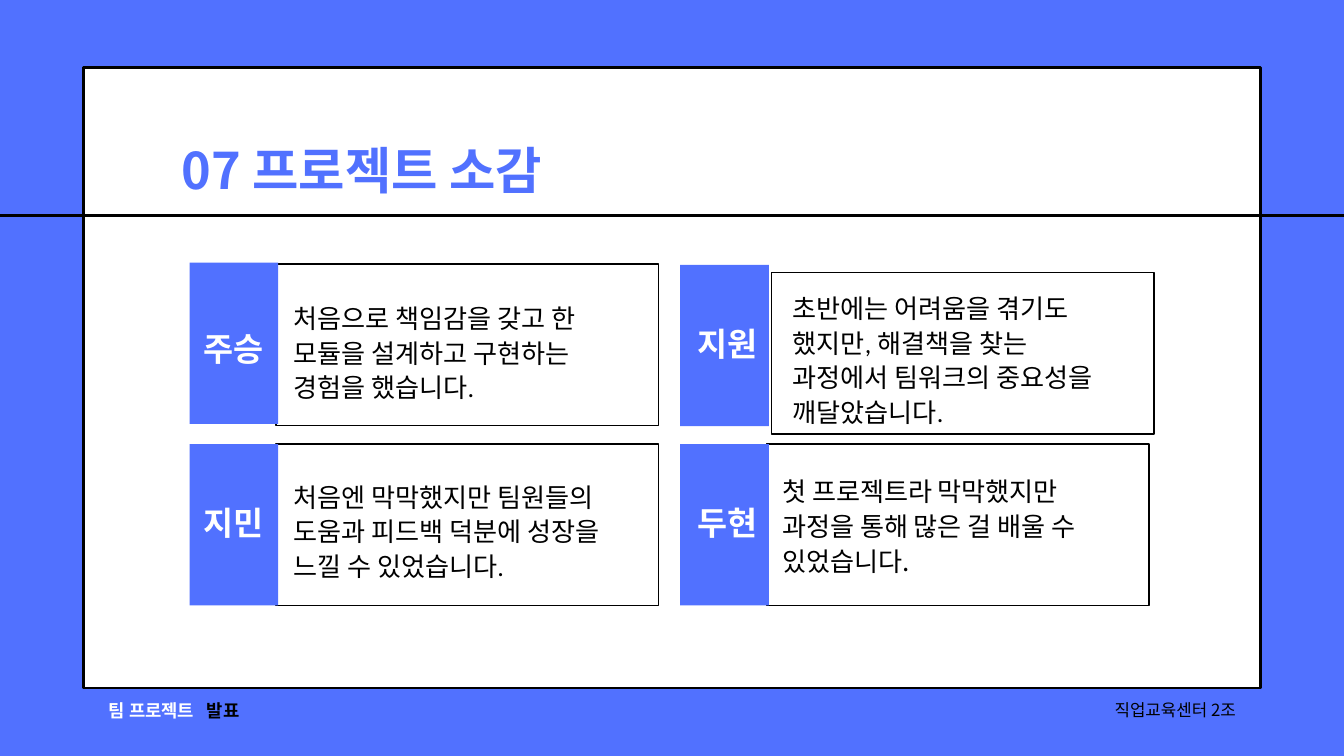
from pptx import Presentation
from pptx.dml.color import RGBColor
from pptx.enum.shapes import MSO_CONNECTOR, MSO_SHAPE
from pptx.enum.text import MSO_AUTO_SIZE, PP_ALIGN
from pptx.oxml.ns import qn
from pptx.util import Inches, Pt
from lxml import etree

BLUE, WHITE, BLACK = "5171FF", "FFFFFF", "000000"
SANS = "Noto Sans CJK KR"


def color(value):
    return RGBColor.from_string(value)


def add_text(text, left, top, width, height, size, spacing, fill=BLACK,
             bold=False, align=PP_ALIGN.LEFT, font=SANS):
    box = slide.shapes.add_textbox(Inches(left), Inches(top), Inches(width), Inches(height))
    frame = box.text_frame
    frame.word_wrap = True
    frame.auto_size = MSO_AUTO_SIZE.SHAPE_TO_FIT_TEXT
    frame.margin_left = frame.margin_right = frame.margin_top = frame.margin_bottom = 0
    para = frame.paragraphs[0]
    para.alignment = align
    para.line_spacing = Pt(spacing)
    span = para.add_run()
    span.text = text
    span.font.name = font
    span.font.size = Pt(size)
    span.font.bold = bold
    span.font.color.rgb = color(fill)
    etree.SubElement(span.font._element, qn("a:ea"), typeface=SANS)


def add_panel(left, top, width, height, fill=None, line=None):
    panel = slide.shapes.add_shape(
        MSO_SHAPE.RECTANGLE, Inches(left), Inches(top), Inches(width), Inches(height))
    panel.shadow.inherit = False
    if fill:
        panel.fill.solid()
        panel.fill.fore_color.rgb = color(fill)
    else:
        panel.fill.background()
    if line:
        panel.line.color.rgb = color(BLACK)
        panel.line.width = Pt(line)
    else:
        panel.line.fill.background()


deck = Presentation()
deck.slide_width = Inches(20)
deck.slide_height = Inches(11.25)
slide = deck.slides.add_slide(deck.slide_layouts[6])
slide.background.fill.solid()
slide.background.fill.fore_color.rgb = color(BLUE)

add_panel(1.24, 1.01, 17.52, 9.23, fill=WHITE, line=3)
rule = slide.shapes.add_connector(
    MSO_CONNECTOR.STRAIGHT, Inches(0), Inches(3.21), Inches(20), Inches(3.21))
rule.line.color.rgb = color(BLACK)
rule.line.width = Pt(3)
etree.SubElement(rule._element.spPr, qn("a:effectLst"))

add_text("07 프로젝트 소감", 2.7, 1.92, 7.53, 1, 54, 75.5, fill=BLUE, bold=True)
add_text("팀 프로젝트", 1.62, 10.36, 1.64, 0.35, 19, 26.6, fill=WHITE, bold=True)
add_text("발표", 3.08, 10.36, 1.13, 0.35, 19, 26.6, bold=True)
add_text("직업교육센터 2조", 14.85, 10.36, 3.54, 0.32, 18, 25.2, align=PP_ALIGN.RIGHT)

reviews = [
    ("주승", (2.82, 3.91), (2.81, 4.92), (4.11, 3.93), (4.37, 4.45), 1.53, "Calibri",
     "처음으로 책임감을 갖고 한 모듈을 설계하고 구현하는 경험을 했습니다."),
    ("지원", (10.12, 3.94), (10.16, 4.84), (11.48, 4.06), (11.8, 4.3), 2.08, "Calibri",
     "초반에는 어려움을 겪기도 했지만, 해결책을 찾는 과정에서 팀워크의 중요성을 깨달았습니다."),
    ("지민", (2.82, 6.61), (2.81, 7.5), (4.11, 6.61), (4.37, 7.11), 1.53, "Calibri",
     "처음엔 막막했지만 팀원들의 도움과 피드백 덕분에 성장을 느낄 수 있었습니다."),
    ("두현", (10.12, 6.61), (10.16, 7.5), (11.41, 6.61), (11.64, 7.03), 1.56, SANS,
     "첫 프로젝트라 막막했지만 과정을 통해 많은 걸 배울 수 있었습니다."),
]
for name, tag, label, card, body, height, font, review in reviews:
    add_panel(*card, 5.69, 2.4, line=1.5)
    add_panel(*tag, 1.32, 2.4, fill=BLUE)
    add_text(name, *label, 1.32, 0.58, 35, 40.6, fill=WHITE, bold=True, align=PP_ALIGN.CENTER)
    add_text(review, *body, 5, height, 28, 37.2, font=font)

deck.save("out.pptx")
